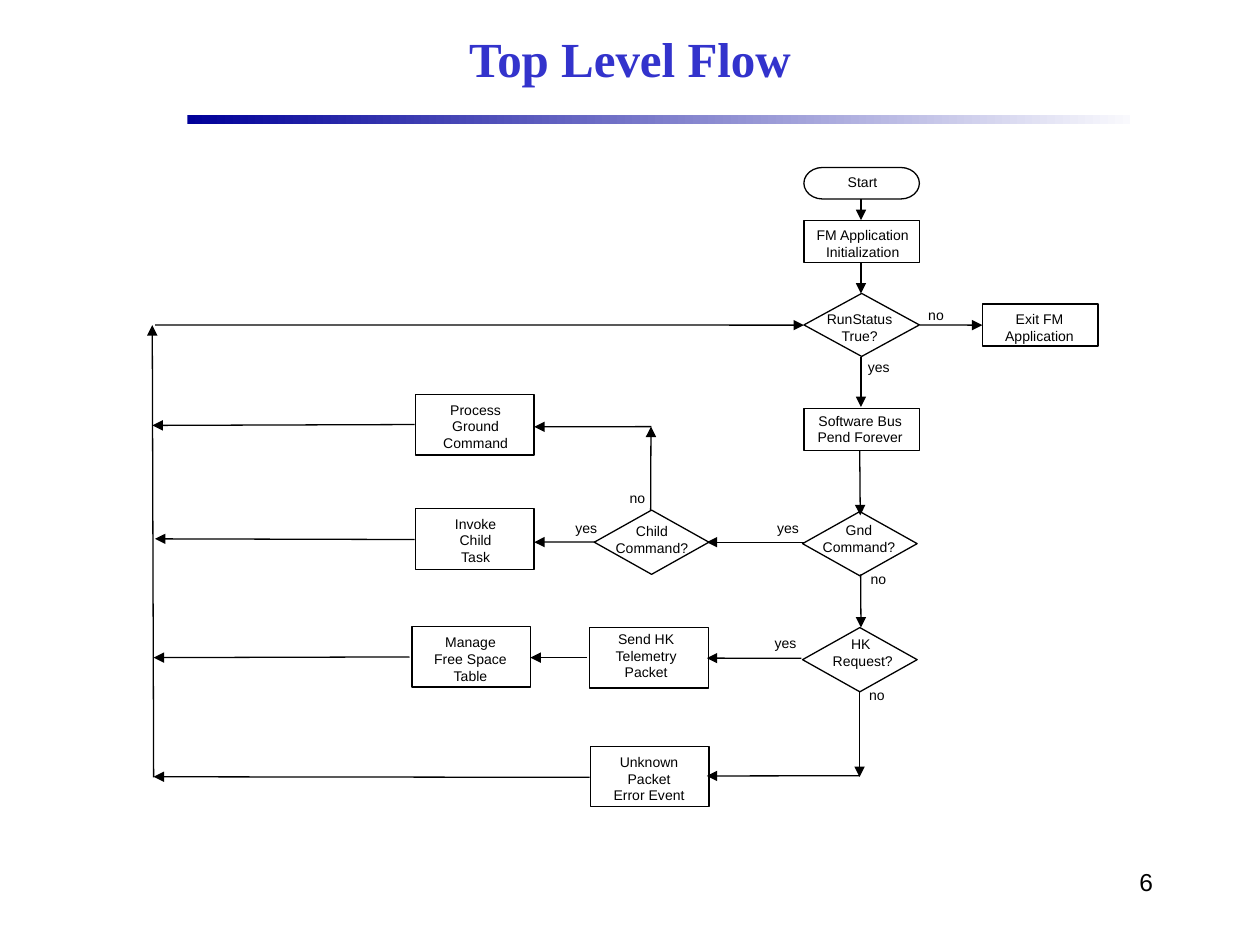
from lxml.etree import SubElement
from pptx import Presentation
from pptx.dml.color import RGBColor
from pptx.enum.shapes import MSO_CONNECTOR, MSO_SHAPE
from pptx.enum.text import MSO_ANCHOR, PP_ALIGN
from pptx.oxml.ns import qn
from pptx.util import Pt

TERMINATOR = MSO_SHAPE.FLOWCHART_TERMINATOR
PROCESS = MSO_SHAPE.FLOWCHART_PROCESS
DECISION = MSO_SHAPE.FLOWCHART_DECISION

# Outline sizes: the main column from "Start" down, and the packet branches
MAIN_BOX, MAIN_DECISION = (66, 24), (66, 36)
BRANCH_BOX, BRANCH_DECISION = (67.7, 34.6), (65.5, 36.7)

# kind, outline left and top, outline size, label left, top and width, text
NODES = [
    (TERMINATOR, 459.4, 95.7, (66, 18), 477.4, 95.8, 31, "Start"),
    (PROCESS, 459.4, 125.8, MAIN_BOX, 459.2, 125.8, 67.7, "FM Application\nInitialization"),
    (DECISION, 459.4, 167.7, MAIN_DECISION, 465.3, 173.8, 51.8, "RunStatus\nTrue?"),
    (PROCESS, 561.4, 173.7, MAIN_BOX, 567.4, 173.8, 53.3, "Exit FM\nApplication"),
    (PROCESS, 459.4, 233.3, MAIN_BOX, 460.3, 232, 62.6, "Software Bus\nPend Forever"),
    (DECISION, 458.6, 292.3, BRANCH_DECISION, 463.2, 294.5, 55.4, "Gnd\nCommand?"),
    (DECISION, 458.6, 358.6, BRANCH_DECISION, 468.5, 359.5, 49, "HK \nRequest?"),
    (DECISION, 339.6, 291.5, BRANCH_DECISION, 344.9, 295.2, 55.4, "Child\nCommand?"),
    (PROCESS, 337, 358.6, BRANCH_BOX, 344.4, 356.7, 49.7, "Send HK\nTelemetry\nPacket"),
    (PROCESS, 337.5, 426.4, BRANCH_BOX, 343.6, 427, 54.7, "Unknown\nPacket\nError Event"),
    (PROCESS, 235.4, 358, BRANCH_BOX, 241.2, 358.6, 55.4, "Manage\nFree Space\nTable"),
    (PROCESS, 237.4, 290.7, BRANCH_BOX, 238.3, 290.9, 67, "Invoke\nChild\nTask"),
    (PROCESS, 237.4, 225.4, BRANCH_BOX, 238.3, 225.7, 67, "Process\nGround\nCommand"),
]

# start x, start y, end x, end y
ARROWS = [
    # Main column
    (492, 114, 492, 125.8),
    (492, 150, 492, 167.7),
    (492, 204, 492, 232.6),
    (491.3, 257.8, 491.6, 294.5),
    (491.8, 328.3, 492, 358.6),
    (491.2, 395.3, 491.2, 444),
    (525.6, 185.7, 561.4, 185.8),
    # Branches to the left
    (460.1, 309.8, 403.9, 309.8),
    (340.6, 309.7, 305.3, 309.8),
    (371.8, 291.6, 372, 243.8),
    (372.2, 243.8, 305.3, 243.9),
    (457.9, 376.2, 403.9, 376.1),
    (335.5, 375.8, 303.1, 375.8),
    (491, 443.3, 403.9, 443.4),
    # Return path to the run status check
    (236.9, 242.6, 87.1, 243.1),
    (236.9, 308.3, 88.6, 307.9),
    (234, 375.4, 87.8, 375.8),
    (337, 444.2, 87.8, 443.9),
    (87.8, 444.2, 87, 185.8),
    (88.6, 185.7, 459.4, 185.8),
]

ANSWER_WIDTHS = {"yes": 26.6, "no": 23}
ANSWERS = [
    ("no", 523.4, 171.6), ("yes", 488.9, 201.2),
    ("yes", 437, 293.2), ("no", 490.5, 322.6),
    ("yes", 435.6, 359.3), ("no", 489.6, 389),
    ("yes", 321.8, 293.2), ("no", 352.8, 276.3),
]


def color(code):
    return RGBColor.from_string(code)


class FlowSlide:
    font = "Arial"
    label_size = 8
    line_height = 9.3
    ink = "000000"
    line_width = 0.75

    def __init__(self, slide):
        self.shapes = slide.shapes

    def text(self, text, left, top, width, height, size, align=PP_ALIGN.CENTER,
             font=None, ink=None, bold=False):
        box = self.shapes.add_textbox(Pt(left), Pt(top), Pt(width), Pt(height))
        frame = box.text_frame
        frame.word_wrap = True
        frame.text = text
        for para in frame.paragraphs:
            para.alignment = align
            for span in para.runs:
                span.font.name = font or self.font
                span.font.size = Pt(size)
                span.font.bold = bold
                span.font.color.rgb = color(ink or self.ink)
        return frame

    def label(self, text, left, top, width):
        height = 8 + self.line_height * len(text.split("\n"))
        frame = self.text(text, left, top, width, height, self.label_size)
        frame.margin_left = frame.margin_right = Pt(0)

    def outline(self, kind, left, top, width, height):
        shape = self.shapes.add_shape(kind, Pt(left), Pt(top), Pt(width), Pt(height))
        shape.shadow.inherit = False
        shape.fill.background()
        shape.line.color.rgb = color(self.ink)
        shape.line.width = Pt(self.line_width)

    def arrow(self, start_x, start_y, end_x, end_y):
        line = self.shapes.add_connector(
            MSO_CONNECTOR.STRAIGHT, Pt(start_x), Pt(start_y), Pt(end_x), Pt(end_y))
        line.line.color.rgb = color(self.ink)
        line.line.width = Pt(self.line_width)
        properties = line._element.spPr
        SubElement(properties.find(qn("a:ln")), qn("a:tailEnd"), type="triangle")
        SubElement(properties, qn("a:effectLst"))

    def gradient_bar(self, left, top, width, height, stops):
        bar = self.shapes.add_shape(
            MSO_SHAPE.RECTANGLE, Pt(left), Pt(top), Pt(width), Pt(height))
        bar.shadow.inherit = False
        bar.line.fill.background()
        bar.fill.gradient()
        bar.fill.gradient_angle = 0
        for stop, code in zip(bar.fill.gradient_stops, stops):
            stop.color.rgb = color(code)


def main():
    deck = Presentation()
    deck.slide_width, deck.slide_height = Pt(720), Pt(540)
    page = FlowSlide(deck.slides.add_slide(deck.slide_layouts[6]))

    page.gradient_bar(107, 66, 539, 5, ("000099", "F9F9FD"))
    title = page.text("Top Level Flow", 102, 6, 516, 54, 28,
                      font="Times New Roman", ink="3333CC", bold=True)
    title.vertical_anchor = MSO_ANCHOR.MIDDLE
    page.text("6", 516, 492, 150, 36, 14, align=PP_ALIGN.RIGHT)

    for kind, left, top, size, label_left, label_top, label_width, text in NODES:
        page.outline(kind, left, top, *size)
        page.label(text, label_left, label_top, label_width)
    for arrow in ARROWS:
        page.arrow(*arrow)
    for answer, left, top in ANSWERS:
        page.label(answer, left, top, ANSWER_WIDTHS[answer])

    deck.save("out.pptx")


if __name__ == "__main__":
    main()
